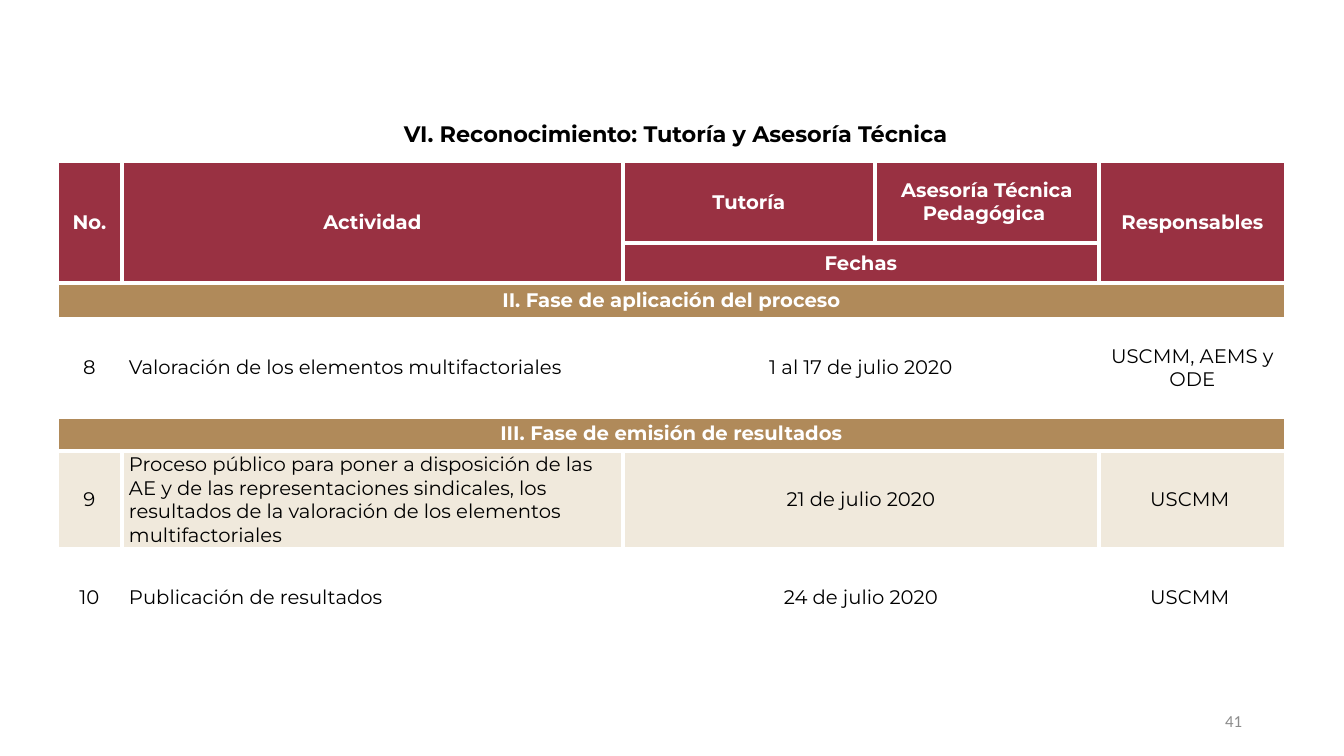
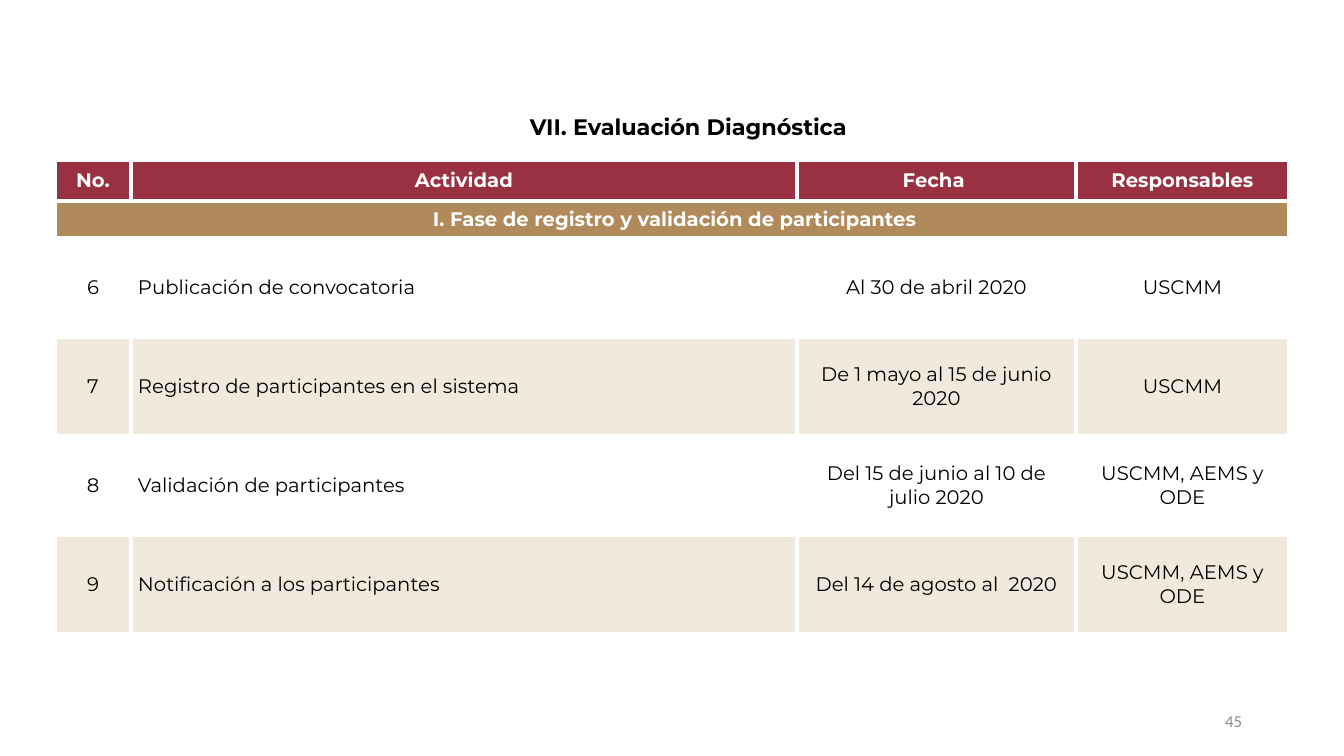
from dataclasses import dataclass

from lxml import etree
from pptx import Presentation
from pptx.dml.color import RGBColor
from pptx.enum.text import MSO_ANCHOR, MSO_AUTO_SIZE, PP_ALIGN
from pptx.oxml.ns import qn
from pptx.util import Emu, Pt

LEFT, CENTER, RIGHT = PP_ALIGN.LEFT, PP_ALIGN.CENTER, PP_ALIGN.RIGHT
TOP, MIDDLE = MSO_ANCHOR.TOP, MSO_ANCHOR.MIDDLE
FIT_SHAPE = MSO_AUTO_SIZE.SHAPE_TO_FIT_TEXT

# Markers for cells that belong to the cell on their left or above them
JOIN_LEFT, JOIN_ABOVE = "<", "^"

# A phase that spans the whole table is a string; an activity is a tuple.
SCHEDULES = [
    {
        "title": "VI. Reconocimiento: Tutoría y Asesoría Técnica",
        "title_box": (394, 115, 575, 37),
        "page": "41",
        "table_corner": (57, 161),
        "columns": [65, 501, 252, 224, 187],
        "row_heights": [82, 40, 36, 98, 34, 98, 98],
        "headers": [
            ("No.", "Actividad", "Tutoría", "Asesoría Técnica Pedagógica ", "Responsables"),
            (JOIN_ABOVE, JOIN_ABOVE, "Fechas", JOIN_LEFT, JOIN_ABOVE),
        ],
        "body": [
            "II. Fase de aplicación del proceso",
            ("8", "Valoración de los elementos multifactoriales",
             "1 al 17 de julio 2020", JOIN_LEFT, "USCMM, AEMS y ODE"),
            "III. Fase de emisión de resultados",
            ("9", "Proceso público para poner a disposición de las AE y de las "
             "representaciones sindicales, los resultados de la valoración de los "
             "elementos multifactoriales",
             "21 de julio 2020", JOIN_LEFT, "USCMM "),
            ("10", "Publicación de resultados ",
             "24 de julio 2020", JOIN_LEFT, "USCMM "),
        ],
    },
    {
        "title": "VII. Evaluación Diagnóstica",
        "title_box": (520, 108, 343, 37),
        "page": "45",
        "table_corner": (55, 160),
        "columns": [76, 666, 279, 213],
        "row_heights": [41, 37, 99, 99, 99, 99],
        "headers": [("No.", "Actividad", "Fecha ", "Responsables")],
        "body": [
            "\u00a0I. Fase de registro y validación de participantes",
            ("6", "Publicación de convocatoria", "Al 30 de abril 2020", "USCMM"),
            ("7", "Registro de participantes en el sistema",
             "De 1 mayo al 15 de junio 2020", "USCMM"),
            ("8", "Validación de participantes ",
             "Del 15 de junio al 10 de julio 2020", "USCMM, AEMS y ODE"),
            ("9", "Notificación a los participantes",
             "Del 14 de agosto al  2020", "USCMM, AEMS y ODE"),
        ],
    },
]


@dataclass(frozen=True)
class Theme:
    """Colours, fonts, type sizes and measures shared by the slides."""
    header: str = "993142"
    phase: str = "B08A5A"
    stripes: tuple = ("FFFFFF", "F0E9DC")
    white: str = "FFFFFF"
    black: str = "000000"
    page_color: str = "8C8C8C"
    font: str = "Montserrat"
    page_font: str = "Calibri"
    title_size: int = 16
    table_size: int = 14
    page_size: int = 12
    border_width: int = 3
    cell_margin: int = 7
    page_box: tuple = (950, 701, 302, 40)


THEME = Theme()


def px(length):
    """Turn pixels (100.8 to the inch) into EMU."""
    return Emu(round(length * 914400 / 100.8))


def add_run(paragraph, text, font, size, color, bold=False):
    """Append one styled run to a paragraph."""
    run = paragraph.add_run()
    run.text = text
    run.font.name = font
    run.font.size = Pt(size)
    run.font.bold = bold
    run.font.color.rgb = RGBColor.from_string(color)


def add_text(slide, box, align, anchor):
    """Add a text box and return its frame and first paragraph."""
    frame = slide.shapes.add_textbox(*map(px, box)).text_frame
    frame.vertical_anchor = anchor
    frame.word_wrap = True
    paragraph = frame.paragraphs[0]
    paragraph.alignment = align
    return frame, paragraph


def add_title(slide, text, box):
    """Add the bold one-line title."""
    frame, paragraph = add_text(slide, box, LEFT, TOP)
    frame.word_wrap = False
    frame.auto_size = FIT_SHAPE
    add_run(paragraph, text, THEME.font, THEME.title_size, THEME.black, True)


def add_page_number(slide, number):
    """Add the grey page number at the bottom right."""
    _, paragraph = add_text(slide, THEME.page_box, RIGHT, MIDDLE)
    add_run(paragraph, number, THEME.page_font, THEME.page_size, THEME.page_color)


def draw_borders(cell):
    """Give a cell white lines on all four sides."""
    properties = cell._tc.get_or_add_tcPr()
    for side in ("lnL", "lnR", "lnT", "lnB"):
        line = etree.SubElement(properties, qn(f"a:{side}"), w=str(Pt(THEME.border_width)))
        fill = etree.SubElement(line, qn("a:solidFill"))
        etree.SubElement(fill, qn("a:srgbClr"), val=THEME.white)


def style_cell(cell, fill):
    """Set the borders, fill, margins and anchor of a cell."""
    draw_borders(cell)
    cell.fill.solid()
    cell.fill.fore_color.rgb = RGBColor.from_string(fill)
    cell.margin_left = cell.margin_right = px(THEME.cell_margin)
    cell.margin_top = cell.margin_bottom = 0
    cell.vertical_anchor = MIDDLE


def plan_rows(schedule):
    """Yield the texts, fill and emphasis of each table row."""
    for texts in schedule["headers"]:
        yield texts, THEME.header, True
    activities = 0
    for entry in schedule["body"]:
        if isinstance(entry, str):
            joined = (JOIN_LEFT,) * (len(schedule["columns"]) - 1)
            yield (entry, *joined), THEME.phase, True
        else:
            yield entry, THEME.stripes[activities % len(THEME.stripes)], False
            activities += 1


def merge_cells(table, rows):
    """Join each marked cell with its neighbour on the left or above."""
    for row, (texts, _, _) in enumerate(rows):
        for column, text in enumerate(texts):
            if text == JOIN_ABOVE:
                table.cell(row - 1, column).merge(table.cell(row, column))
            elif text != JOIN_LEFT:
                last = column
                while texts[last + 1:last + 2] == (JOIN_LEFT,):
                    last += 1
                if last > column:
                    table.cell(row, column).merge(table.cell(row, last))


def add_schedule_table(slide, schedule):
    """Add the table of phases and activities."""
    columns, heights = schedule["columns"], schedule["row_heights"]
    box = (*schedule["table_corner"], sum(columns), sum(heights))
    table = slide.shapes.add_table(len(heights), len(columns), *map(px, box)).table
    table.first_row = table.horz_banding = False
    for column, width in zip(table.columns, columns):
        column.width = px(width)
    for row, height in zip(table.rows, heights):
        row.height = px(height)

    rows = list(plan_rows(schedule))
    for row, (texts, fill, strong) in enumerate(rows):
        color = THEME.white if strong else THEME.black
        for column, text in enumerate(texts):
            cell = table.cell(row, column)
            style_cell(cell, fill)
            if text in (JOIN_LEFT, JOIN_ABOVE):
                continue
            paragraph = cell.text_frame.paragraphs[0]
            paragraph.alignment = LEFT if column == 1 and not strong else CENTER
            add_run(paragraph, text, THEME.font, THEME.table_size, color, strong)
    merge_cells(table, rows)


def main():
    """Build one slide for each schedule and save the file."""
    presentation = Presentation()
    presentation.slide_width, presentation.slide_height = px(1344), px(756)
    blank = presentation.slide_layouts[6]
    for schedule in SCHEDULES:
        slide = presentation.slides.add_slide(blank)
        add_page_number(slide, schedule["page"])
        add_schedule_table(slide, schedule)
        add_title(slide, schedule["title"], schedule["title_box"])
    presentation.save("out.pptx")


main()
